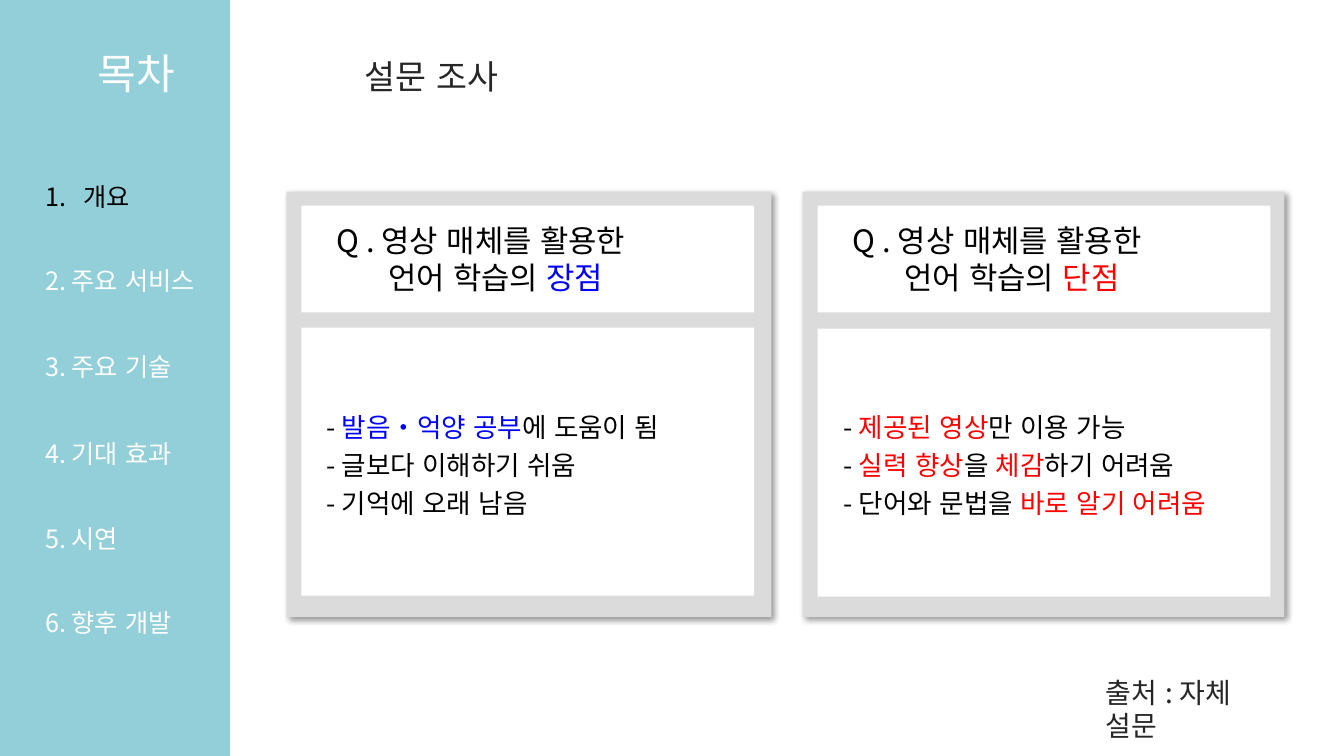
from lxml import etree
from pptx import Presentation
from pptx import util as u
from pptx.dml.color import RGBColor
from pptx.enum import lang, shapes, text
from pptx.oxml.ns import qn

PX = 9144
FONT = "Noto Sans CJK KR"
COLORS = {
    "teal": "93CFD9", "frame": "DBDBDB", "white": "FFFFFF", "black": "000000",
    "dark": "262626", "blue": "0000FF", "red": "FF0000",
}
CARDS = [
    (284, 481, 325, 314, "blue", "장점", [
        [("- ", "black"), ("발음・억양 공부", "blue"), ("에 도움이 됨", "black")],
        [("- 글보다 이해하기 쉬움", "black")],
        [("- 기억에 오래 남음", "black")],
    ]),
    (796, 478, 326, 827, "red", "단점", [
        [("- ", "black"), ("제공된 영상", "red"), ("만 이용 가능", "black")],
        [("- ", "black"), ("실력 향상", "red"), ("을 ", "black"),
         ("체감", "red"), ("하기 어려움", "black")],
        [("- 단어와 문법을 ", "black"), ("바로 알기 어려움", "red")],
    ]),
]
MENU = [
    (258, "2. 주요 서비스"), (344, "3. 주요 기술"), (430, "4. 기대 효과"),
    (514, "5. 시연"), (598, "6. 향후 개발"),
]


def px(*values):
    return [u.Emu(v * PX) for v in values]


def set_format(obj, values):
    for name, value in values.items():
        setattr(obj, name, value)


def child(parent, tag, **attrs):
    return etree.SubElement(parent, qn(tag), attrs)


def add_rect(parent, box, color, shadow=False):
    sp = parent.add_shape(shapes.MSO_SHAPE.RECTANGLE, *px(*box))
    sp.shadow.inherit = False
    sp.fill.solid()
    sp.fill.fore_color.rgb = RGBColor.from_string(COLORS[color])
    sp.line.fill.background()
    if shadow:
        effects = sp._element.spPr.find(qn("a:effectLst"))
        outer = child(effects, "a:outerShdw", blurRad=str(u.Pt(4)), dist=str(u.Pt(3)),
                      dir="2700000", algn="tl", rotWithShape="0")
        clr = child(outer, "a:srgbClr", val=COLORS["black"])
        child(clr, "a:alpha", val="40000")
    return sp


def write_paragraphs(tf, paragraphs, size, align=text.PP_ALIGN.LEFT, spacing=None):
    for i, runs in enumerate(paragraphs):
        p = tf.add_paragraph() if i else tf.paragraphs[0]
        set_format(p, {"alignment": align, "line_spacing": spacing})
        for words, color in runs:
            r = p.add_run()
            r.text = words
            set_format(r.font, {"name": FONT, "size": u.Pt(size),
                                "language_id": lang.MSO_LANGUAGE_ID.KOREAN})
            r.font.color.rgb = RGBColor.from_string(COLORS[color])
            child(r._r.get_or_add_rPr(), "a:ea", typeface=FONT)


def add_text(parent, box, paragraphs, size, **layout):
    tf = parent.add_textbox(*px(*box)).text_frame
    set_format(tf, {"word_wrap": True,
                    "auto_size": text.MSO_AUTO_SIZE.SHAPE_TO_FIT_TEXT})
    write_paragraphs(tf, paragraphs, size, **layout)
    return tf


def indent(p, left, first=0):
    pPr = p._p.get_or_add_pPr()
    pPr.set("marL", str(left * PX))
    pPr.set("indent", str(first * PX))
    return pPr


def add_card(parent, left, width, body_top, list_left, accent, topic, answers):
    add_rect(parent, (left, 190, width, 422), "frame", shadow=True)
    question = add_rect(parent, (left + 15, 204, 449, 106), "white")
    tf = question.text_frame
    set_format(tf, {"word_wrap": True, "vertical_anchor": text.MSO_ANCHOR.MIDDLE})
    write_paragraphs(tf, [
        [("Q . 영상 매체를 활용한", "black")],
        [("언어 학습의 ", "black"), (topic, accent)],
    ], 22)
    for p, margin in zip(tf.paragraphs, (25, 76)):
        indent(p, margin)
    add_rect(parent, (left + 15, body_top, 449, 266), "white")
    add_text(parent, (list_left, 396, 419, 125), answers, 19, spacing=1.2)


def add_sidebar(parent):
    group = parent.add_group_shape().shapes
    add_rect(group, (0, 0, 228, 750), "teal")
    add_text(group, (72, 42, 127, 61), [[("목차", "white")]], 30,
             align=text.PP_ALIGN.CENTER)
    for top, label in MENU:
        add_text(group, (35, top, 194, 40), [[(label, "white")]], 18)
    current = add_text(group, (35, 175, 165, 40), [[("개요", "black")]], 18)
    pPr = indent(current.paragraphs[0], 38, -38)
    child(pPr, "a:buFont", typeface="+mj-lt")
    child(pPr, "a:buAutoNum", type="arabicPeriod")


def main():
    prs = Presentation()
    prs.slide_width, prs.slide_height = px(1333, 750)
    slide = prs.slides.add_slide(prs.slide_layouts[6])
    add_text(slide.shapes, (352, 51, 179, 50), [[("설문 조사", "dark")]], 24)
    for card in CARDS:
        add_card(slide.shapes, *card)
    add_sidebar(slide.shapes)
    add_text(slide.shapes, (1087, 665, 190, 44), [[("출처 : 자체 설문", "dark")]], 20)
    prs.save("out.pptx")


if __name__ == "__main__":
    main()
